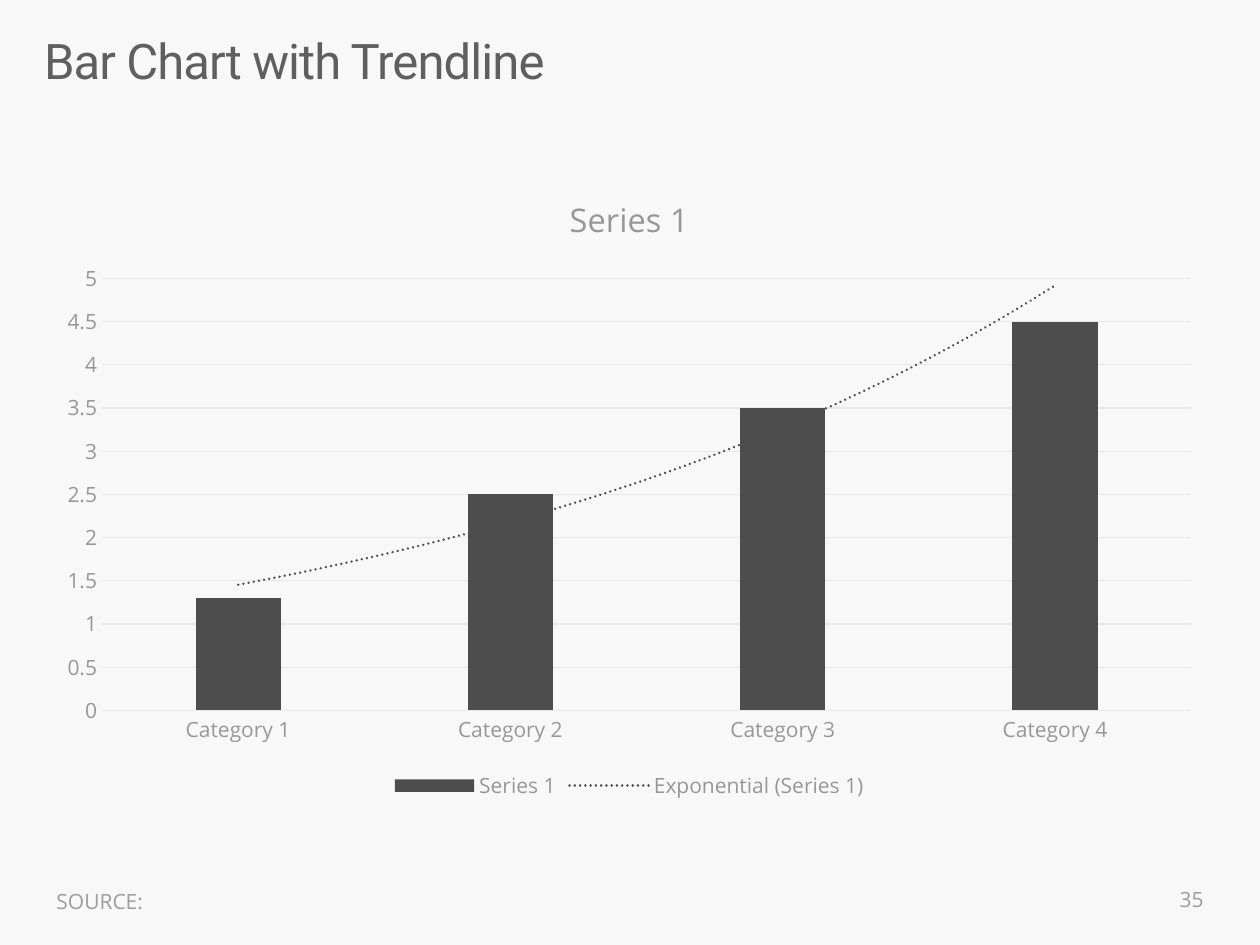
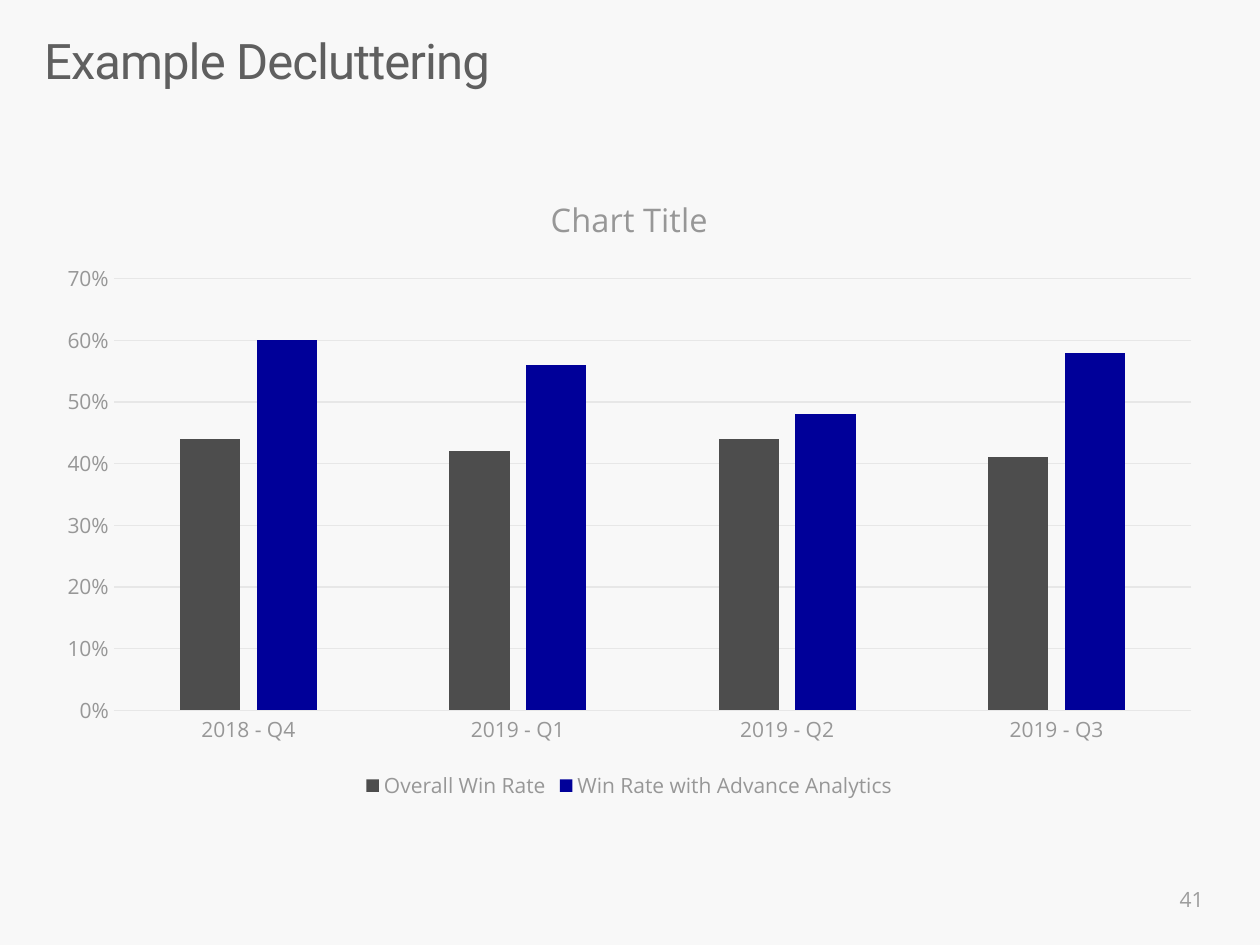
from dataclasses import dataclass

from lxml import etree
from pptx import Presentation
from pptx.chart.chart import Chart
from pptx.chart.data import CategoryChartData
from pptx.dml.color import RGBColor
from pptx.enum.chart import XL_CHART_TYPE, XL_LEGEND_POSITION, XL_TICK_MARK
from pptx.enum.text import MSO_ANCHOR, PP_ALIGN
from pptx.oxml import parse_xml
from pptx.oxml.ns import nsdecls
from pptx.slide import Slide
from pptx.text.text import Font
from pptx.util import Inches, Pt

COLUMNS = XL_CHART_TYPE.COLUMN_CLUSTERED
BOTTOM = XL_LEGEND_POSITION.BOTTOM
NO_TICK = XL_TICK_MARK.NONE
TOP, MIDDLE = MSO_ANCHOR.TOP, MSO_ANCHOR.MIDDLE
LEFT, RIGHT = PP_ALIGN.LEFT, PP_ALIGN.RIGHT

COLORS = {
    "background": "F8F8F8",
    "title": "5F5F5F",
    "footer": "9D9D9D",
    "chart text": "979797",
    "grid": "E7E7E7",
    "dark bar": "4D4D4D",
    "blue bar": "000099",
}
BODY_FONT, TITLE_FONT = "Open Sans", "Roboto"
TITLE_ONLY_LAYOUT = 5
MARGIN, CONTENT_WIDTH = 0.35, 9.29


@dataclass(frozen=True)
class Bars:
    name: str
    values: tuple[float, ...]
    color: str


@dataclass(frozen=True)
class ChartPage:
    title: str
    number: int
    chart_title: str
    categories: tuple[str, ...]
    series: tuple[Bars, ...]
    axis_maximum: float
    axis_step: float
    number_format: str = "General"
    source: str = ""
    trendline: bool = False


PAGES = (
    ChartPage(
        title="Bar Chart with Trendline",
        number=35,
        chart_title="Series 1",
        categories=tuple(f"Category {index}" for index in range(1, 5)),
        series=(Bars("Series 1", (1.3, 2.5, 3.5, 4.5), "dark bar"),),
        axis_maximum=5,
        axis_step=0.5,
        source="SOURCE:",
        trendline=True,
    ),
    ChartPage(
        title="Example Decluttering",
        number=41,
        chart_title="Chart Title",
        categories=("2018 - Q4", "2019 - Q1", "2019 - Q2", "2019 - Q3"),
        series=(
            Bars("Overall Win Rate", (0.44, 0.42, 0.44, 0.41), "dark bar"),
            Bars("Win Rate with Advance Analytics", (0.6, 0.56, 0.48, 0.58), "blue bar"),
        ),
        axis_maximum=0.7,
        axis_step=0.1,
        number_format="0%",
    ),
)


def set_attributes(target: object, values: dict[str, object]) -> None:
    for name, value in values.items():
        setattr(target, name, value)


def rgb(color: str) -> RGBColor:
    return RGBColor.from_string(COLORS[color])


def format_font(font: Font, size: float, color: str, name: str = BODY_FONT) -> None:
    set_attributes(font, {"size": Pt(size), "name": name, "bold": False})
    font.color.rgb = rgb(color)


def inches(left: float, top: float, width: float, height: float) -> dict[str, Inches]:
    return {
        "left": Inches(left),
        "top": Inches(top),
        "width": Inches(width),
        "height": Inches(height),
    }


def add_title(page: Slide, text: str) -> None:
    box = page.shapes.title
    set_attributes(box, inches(MARGIN, 0.31, CONTENT_WIDTH, 0.89))
    frame = box.text_frame
    margins = {f"margin_{side}": 0 for side in ("left", "top", "right", "bottom")}
    set_attributes(frame, {"text": text, "vertical_anchor": TOP, "word_wrap": True, **margins})
    para = frame.paragraphs[0]
    set_attributes(para, {"alignment": LEFT, "line_spacing": 0.86})
    span = para.runs[0]
    format_font(span.font, 28, "title", TITLE_FONT)
    span.font._element.set("spc", "-50")


def add_footer(page: Slide, text: str, left: float, top: float, width: float,
               alignment: PP_ALIGN) -> None:
    box = page.shapes.add_textbox(**inches(left, top, width, 0.4))
    frame = box.text_frame
    set_attributes(frame, {"text": text, "vertical_anchor": MIDDLE, "word_wrap": True})
    para = frame.paragraphs[0]
    para.alignment = alignment
    format_font(para.runs[0].font, 12, "footer")


def exponential_trendline(color: str) -> etree._Element:
    return parse_xml(
        f'<c:trendline {nsdecls("c", "a")}>'
        '<c:spPr><a:ln w="19050" cap="rnd">'
        f'<a:solidFill><a:srgbClr val="{COLORS[color]}"/></a:solidFill>'
        '<a:prstDash val="sysDot"/></a:ln></c:spPr>'
        '<c:trendlineType val="exp"/>'
        '<c:dispRSqr val="0"/><c:dispEq val="0"/></c:trendline>'
    )


def format_axes(chart: Chart, content: ChartPage) -> None:
    for axis in (chart.category_axis, chart.value_axis):
        set_attributes(axis, {"major_tick_mark": NO_TICK, "minor_tick_mark": NO_TICK})
        format_font(axis.tick_labels.font, 12, "chart text")
    values = chart.value_axis
    set_attributes(values, {
        "minimum_scale": 0,
        "maximum_scale": content.axis_maximum,
        "major_unit": content.axis_step,
        "has_major_gridlines": True,
    })
    set_attributes(values.tick_labels, {
        "number_format": content.number_format,
        "number_format_is_linked": False,
    })
    values.format.line.fill.background()
    for line in (chart.category_axis.format.line, values.major_gridlines.format.line):
        line.width = Pt(0.75)
        line.color.rgb = rgb("grid")


def add_column_chart(page: Slide, content: ChartPage) -> None:
    data = CategoryChartData(number_format=content.number_format)
    data.categories = content.categories
    for bars in content.series:
        data.add_series(bars.name, bars.values)
    place = inches(MARGIN, 1.33, CONTENT_WIDTH, 5.06)
    chart = page.shapes.add_chart(
        COLUMNS, place["left"], place["top"], place["width"], place["height"], data
    ).chart

    format_font(chart.font, 10, "title")
    set_attributes(chart, {"has_title": True, "has_legend": True})
    title = chart.chart_title
    title.include_in_layout = False
    title.text_frame.text = content.chart_title
    format_font(title.text_frame.paragraphs[0].runs[0].font, 18.6, "chart text")
    set_attributes(chart.legend, {"position": BOTTOM, "include_in_layout": False})
    format_font(chart.legend.font, 12, "chart text")
    format_axes(chart, content)

    plot = chart.plots[0]
    set_attributes(plot, {"gap_width": 219, "overlap": -27, "vary_by_categories": False})
    for series, bars in zip(plot.series, content.series):
        series.invert_if_negative = False
        series.format.fill.solid()
        series.format.fill.fore_color.rgb = rgb(bars.color)
        if content.trendline:
            series._element.find("c:cat", series._element.nsmap).addprevious(
                exponential_trendline(bars.color)
            )


def main() -> None:
    deck = Presentation()
    set_attributes(deck, {"slide_width": Inches(10), "slide_height": Inches(7.5)})
    background = deck.slide_master.background.fill
    background.solid()
    background.fore_color.rgb = rgb("background")
    for content in PAGES:
        page = deck.slides.add_slide(deck.slide_layouts[TITLE_ONLY_LAYOUT])
        add_title(page, content.title)
        add_footer(page, str(content.number), 7.4, 6.94, 2.25, RIGHT)
        if content.source:
            add_footer(page, content.source, MARGIN, 6.95, 6.93, LEFT)
        add_column_chart(page, content)
    deck.save("out.pptx")


if __name__ == "__main__":
    main()
